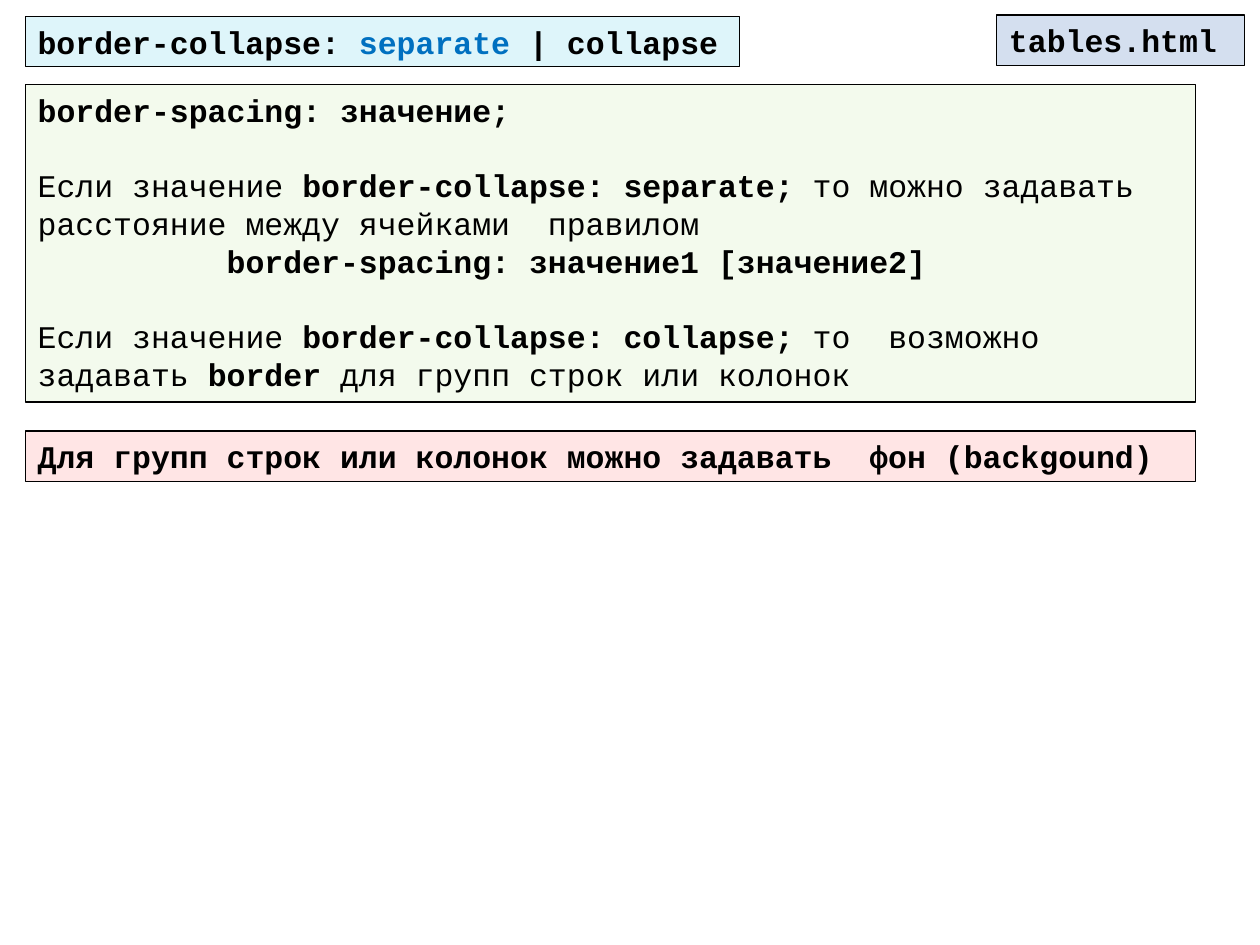
from pptx import Presentation
from pptx.dml.color import RGBColor
from pptx.enum.shapes import MSO_SHAPE as Shape
from pptx.enum.text import MSO_ANCHOR as Anchor, MSO_AUTO_SIZE as Fit, PP_ALIGN as Align
from pptx.oxml.ns import qn
from pptx.util import Inches, Pt
from lxml.etree import SubElement


def paint(fmt, color, alpha=100):
    fmt.solid()
    fmt.fore_color.rgb = RGBColor.from_string(color)
    if alpha < 100:
        node = fmt._xPr.find(qn("a:solidFill"))[0]
        SubElement(node, qn("a:alpha")).set("val", str(alpha * 1000))


class Deck:
    """Hold the text style and the current slide."""

    font, size, ink = "Courier New", Pt(18), "000000"

    def __init__(self, slide):
        self.slide = slide

    def box(self, left, top, width, height, color, alpha=100):
        shape = self.slide.shapes.add_shape(
            Shape.RECTANGLE, Inches(left), Inches(top), Inches(width), Inches(height))
        shape.shadow.inherit = False
        paint(shape.fill, color, alpha)
        paint(shape.line.fill, self.ink)
        shape.line.width = Pt(0.75)
        frame = shape.text_frame
        frame.word_wrap = True
        frame.vertical_anchor = Anchor.TOP
        frame.auto_size = Fit.SHAPE_TO_FIT_TEXT
        return frame

    def line(self, par, runs, gap=0, indent=0):
        par.alignment = Align.LEFT
        par.space_before = Pt(gap)
        par._p.get_or_add_pPr().set("marL", str(Inches(indent)))
        for text, bold, color in runs:
            run = par.add_run()
            run.text = text
            run.font.name, run.font.size, run.font.bold = self.font, self.size, bold
            paint(run.font.fill, color)

    def bold(self, text, color=ink):
        return text, True, color

    def plain(self, text):
        return text, False, self.ink


def main():
    prs = Presentation()
    prs.slide_width, prs.slide_height = Inches(10), Inches(7.5)
    deck = Deck(prs.slides.add_slide(prs.slide_layouts[6]))
    bold, plain = deck.bold, deck.plain
    left, wide, row, gap = 0.2, 9.29, 0.4, 21.6

    rules = [
        ([bold("border-spacing: значение;")], 0, 0),
        ([plain("Если значение "), bold("border-collapse: separate; "),
          plain("то можно задавать")], gap, 0),
        ([plain("расстояние между ячейками  правилом")], 0, 0),
        ([bold("border-spacing: значение1 [значение2]")], 0, 1.5),
        ([plain("Если значение "), bold("border-collapse: collapse; "),
          plain("то  возможно задавать "), bold("border "),
          plain("для групп строк или колонок")], gap, 0),
    ]
    frame = deck.box(left, 0.67, wide, 2.52, "92D050", 10)
    for i, rule in enumerate(rules):
        deck.line(frame.add_paragraph() if i else frame.paragraphs[0], *rule)

    bars = [
        (left, 3.42, wide, "FF0000", 10,
         [bold("Для групп строк или колонок можно задавать  фон (backgound)")]),
        (7.91, 0.12, 1.97, "D4DFEF", 100, [bold("tables.html")]),
        (left, 0.13, 5.67, "DEF5FA", 100,
         [bold("border-collapse: "), bold("separate ", "0070C0"), bold("| collapse")]),
    ]
    for x, y, width, color, alpha, runs in bars:
        frame = deck.box(x, y, width, row, color, alpha)
        deck.line(frame.paragraphs[0], runs)

    prs.save("out.pptx")


if __name__ == "__main__":
    main()
